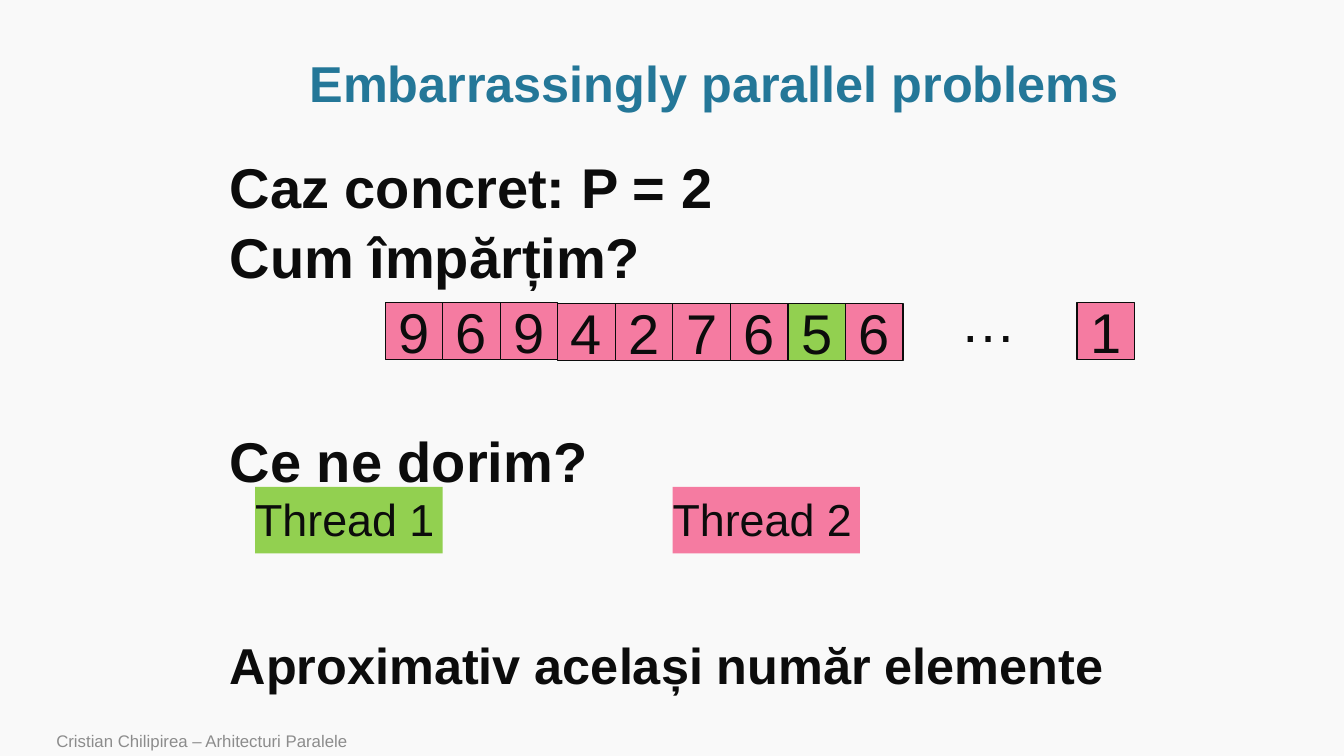
from dataclasses import dataclass
from typing import NamedTuple

from lxml.etree import SubElement
from pptx import Presentation
from pptx.dml.color import RGBColor
from pptx.enum.shapes import MSO_SHAPE
from pptx.enum.text import MSO_ANCHOR, MSO_AUTO_SIZE, PP_ALIGN
from pptx.oxml.ns import qn
from pptx.util import Inches, Pt

WIDE, HIGH = Inches(13.33), Inches(7.5)


@dataclass(frozen=True)
class Theme:
    font: str = "Arial"
    back: str = "F9F9F9"
    ink: str = "0C0C0C"
    blue: str = "247798"
    gray: str = "8C8C8C"
    pink: str = "F57BA1"
    green: str = "92D050"
    big: int = 40
    head: int = 36
    mid: int = 32
    small: int = 12


class Area(NamedTuple):
    """Percent shares of the slide's width and height."""
    left: float
    top: float
    width: float
    height: float

    def spots(self) -> tuple:
        return (int(WIDE * self.left / 100), int(HIGH * self.top / 100),
                int(WIDE * self.width / 100), int(HIGH * self.height / 100))


class Line(NamedTuple):
    text: str
    size: int
    gap: float = 0


class Block(NamedTuple):
    text: str
    area: Area
    fill: str
    size: int
    cell: bool


theme = Theme()


def write(para, text: str, size: int, color: str = theme.ink, bold: bool = False) -> None:
    run = para.add_run()
    run.text = text
    font = run.font
    font.name, font.size, font.bold = theme.font, Pt(size), bold
    font.color.rgb = RGBColor.from_string(color)


def place(shape, area: Area) -> None:
    shape.left, shape.top, shape.width, shape.height = area.spots()


def draw_title(shape, text: str) -> None:
    place(shape, Area(8.55, 6.8, 89.2, 9.2))
    frame = shape.text_frame
    frame.auto_size = MSO_AUTO_SIZE.NONE
    frame.vertical_anchor = MSO_ANCHOR.MIDDLE
    para = frame.paragraphs[0]
    para.alignment, para.line_spacing = PP_ALIGN.CENTER, 0.9
    write(para, text, theme.head, theme.blue, True)


def draw_body(shape, lines: list[Line]) -> None:
    place(shape, Area(16.35, 19.47, 69.84, 71.47))
    frame = shape.text_frame
    frame.auto_size = MSO_AUTO_SIZE.NONE
    for rank, line in enumerate(lines):
        para = frame.add_paragraph() if rank else frame.paragraphs[0]
        props = para._p.get_or_add_pPr()
        props.set("marL", "0")
        props.set("indent", "0")
        SubElement(props, qn("a:buNone"))
        para.space_before = Pt(line.gap)
        write(para, line.text, line.size, bold=True)


def draw_block(slide, block: Block) -> None:
    shape = slide.shapes.add_shape(MSO_SHAPE.RECTANGLE, *block.area.spots())
    shape.shadow.inherit = False
    shape.fill.solid()
    shape.fill.fore_color.rgb = RGBColor.from_string(block.fill)
    frame = shape.text_frame
    frame.word_wrap = True
    para = frame.paragraphs[0]
    if block.cell:
        shape.line.color.rgb = RGBColor.from_string(theme.ink)
        shape.line.width = Pt(1)
        frame.vertical_anchor = MSO_ANCHOR.MIDDLE
        para.alignment = PP_ALIGN.CENTER
    else:
        shape.line.fill.background()
        frame.margin_left = frame.margin_right = 0
        frame.vertical_anchor = MSO_ANCHOR.TOP
        para.alignment = PP_ALIGN.LEFT
    write(para, block.text, block.size)


def draw_note(slide, text: str, area: Area, size: int, color: str,
              anchor: MSO_ANCHOR, wrap: bool) -> None:
    frame = slide.shapes.add_textbox(*area.spots()).text_frame
    frame.word_wrap, frame.vertical_anchor = wrap, anchor
    write(frame.paragraphs[0], text, size, color)


def main() -> None:
    deck = Presentation()
    deck.slide_width, deck.slide_height = WIDE, HIGH
    slide = deck.slides.add_slide(deck.slide_layouts[1])
    slide.background.fill.solid()
    slide.background.fill.fore_color.rgb = RGBColor.from_string(theme.back)

    draw_title(slide.shapes.title, "Embarrassingly parallel problems")
    draw_body(slide.placeholders[1], [
        Line("Caz concret: P = 2", theme.big),
        Line("Cum împărțim?", theme.big, 2),
        Line("Ce ne dorim?", theme.big, 98),
        Line("Aproximativ același număr elemente", theme.head, 100),
    ])

    step = 4.28
    cells = [(28.66 + step * rank, digit) for rank, digit in enumerate("969427656")]
    cells.append((80.12, "1"))
    for left, digit in cells:
        top = 40.13 if digit in "42765" and left > 40 else 40
        fill = theme.green if digit == "5" else theme.pink
        draw_block(slide, Block(digit, Area(left, top, step, 7.6), fill, theme.big, True))

    draw_note(slide, "…", Area(70.74, 37.2, 5.7, 10.27), theme.big, theme.ink,
              MSO_ANCHOR.TOP, False)
    for left, name, fill in ((18.98, "Thread 1", theme.green), (50.04, "Thread 2", theme.pink)):
        draw_block(slide, Block(name, Area(left, 64.4, 13.95, 8.8), fill, theme.mid, False))
    draw_note(slide, "Cristian Chilipirea – Arhitecturi Paralele",
              Area(3.45, 96.27, 73.67, 3.73), theme.small, theme.gray, MSO_ANCHOR.BOTTOM, True)
    deck.save("out.pptx")


if __name__ == "__main__":
    main()
